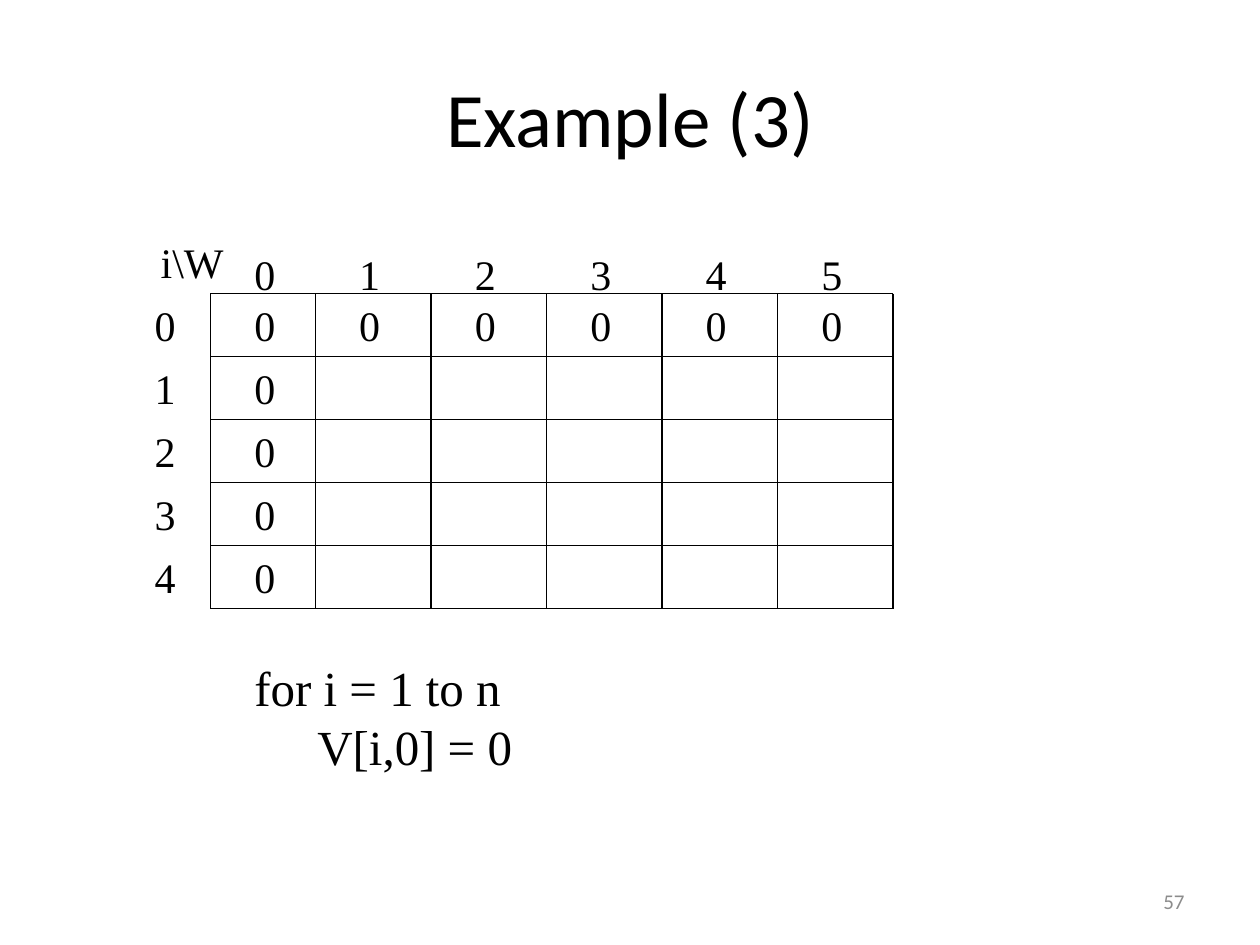
from lxml.etree import SubElement
from pptx import Presentation
from pptx.dml.color import RGBColor
from pptx.enum.shapes import MSO_CONNECTOR
from pptx.enum.text import MSO_ANCHOR, MSO_AUTO_SIZE, PP_ALIGN
from pptx.oxml.ns import qn
from pptx.util import Inches, Pt

BLACK = RGBColor(0x00, 0x00, 0x00)
GRAY = RGBColor(0x8C, 0x8C, 0x8C)
SERIF = "Times New Roman"
SANS = "Calibri"

COLUMNS = 6
ROWS = 5
COLUMN_WIDTH = 11 / 12
FIRST_COLUMN_WIDTH = 10 / 12
LABEL_SIZE = (0.37, 0.5)


def add_text(shapes, box, text, size, font=SERIF, color=BLACK,
             align=PP_ALIGN.LEFT, anchor=MSO_ANCHOR.TOP, wrap=True, grow=True):
    tb = shapes.add_textbox(*map(Inches, box))
    tf = tb.text_frame
    tf.word_wrap = wrap
    tf.auto_size = MSO_AUTO_SIZE.SHAPE_TO_FIT_TEXT if grow else MSO_AUTO_SIZE.NONE
    tf.vertical_anchor = anchor
    tf.text = text
    for p in tf.paragraphs:
        p.alignment = align
        for r in p.runs:
            r.font.name = font
            r.font.size = Pt(size)
            r.font.color.rgb = color


def add_line(shapes, x1, y1, x2, y2):
    line = shapes.add_connector(
        MSO_CONNECTOR.STRAIGHT, *map(Inches, (x1, y1, x2, y2)))
    line.line.color.rgb = BLACK
    line.line.width = Pt(0.75)
    SubElement(line._element.spPr, qn("a:effectLst"))


def add_title(s, box):
    add_text(s.shapes, box, "Example (3)", 44, SANS, align=PP_ALIGN.CENTER,
             anchor=MSO_ANCHOR.MIDDLE, grow=False)


def add_value_grid(s, box):
    left, top, width, height = box
    right, bottom = left + width, top + height
    row_height = height / ROWS
    xs = [left] + [left + FIRST_COLUMN_WIDTH + i * COLUMN_WIDTH
                   for i in range(COLUMNS)]
    ys = [top + i * row_height for i in range(ROWS + 1)]
    shapes = s.shapes.add_group_shape().shapes

    for x in xs:
        add_line(shapes, x, top, x, bottom)
    for y in ys:
        add_line(shapes, left, y, right, y)

    def add_label(x, y, text):
        add_text(shapes, (x, y, *LABEL_SIZE), text, 24, wrap=False)

    for column, x in enumerate(xs[:-1]):
        add_label(x + 0.25, top - 0.41, str(column))
        add_label(x + 0.25, top, "0")
    for row, y in enumerate(ys[:-1]):
        add_label(left - 0.54, y, str(row))
        if row > 0:
            add_label(left + 0.25, y, "0")
    add_text(shapes, (left - 0.52, top - 0.5, 0.75, 0.5), "i\\W", 24,
             align=PP_ALIGN.CENTER)


def add_pseudocode(s, box):
    add_text(s.shapes, box, "for i = 1 to n\n\tV[i,0] = 0", 28)


def add_page_number(s, box):
    add_text(s.shapes, box, "57", 12, SANS, GRAY, PP_ALIGN.RIGHT,
             MSO_ANCHOR.MIDDLE, grow=False)


def main():
    prs = Presentation()
    prs.slide_width = Inches(10)
    prs.slide_height = Inches(7.5)
    s = prs.slides.add_slide(prs.slide_layouts[6])
    grid_width = FIRST_COLUMN_WIDTH + (COLUMNS - 1) * COLUMN_WIDTH
    add_pseudocode(s, (1.92, 5.17, 3.75, 1.03))
    add_value_grid(s, (1.67, 2.33, grid_width, ROWS * 0.5))
    add_title(s, (0.5, 0.3, 9, 1.25))
    add_page_number(s, (7.17, 6.95, 2.33, 0.4))
    prs.save("out.pptx")


if __name__ == "__main__":
    main()
